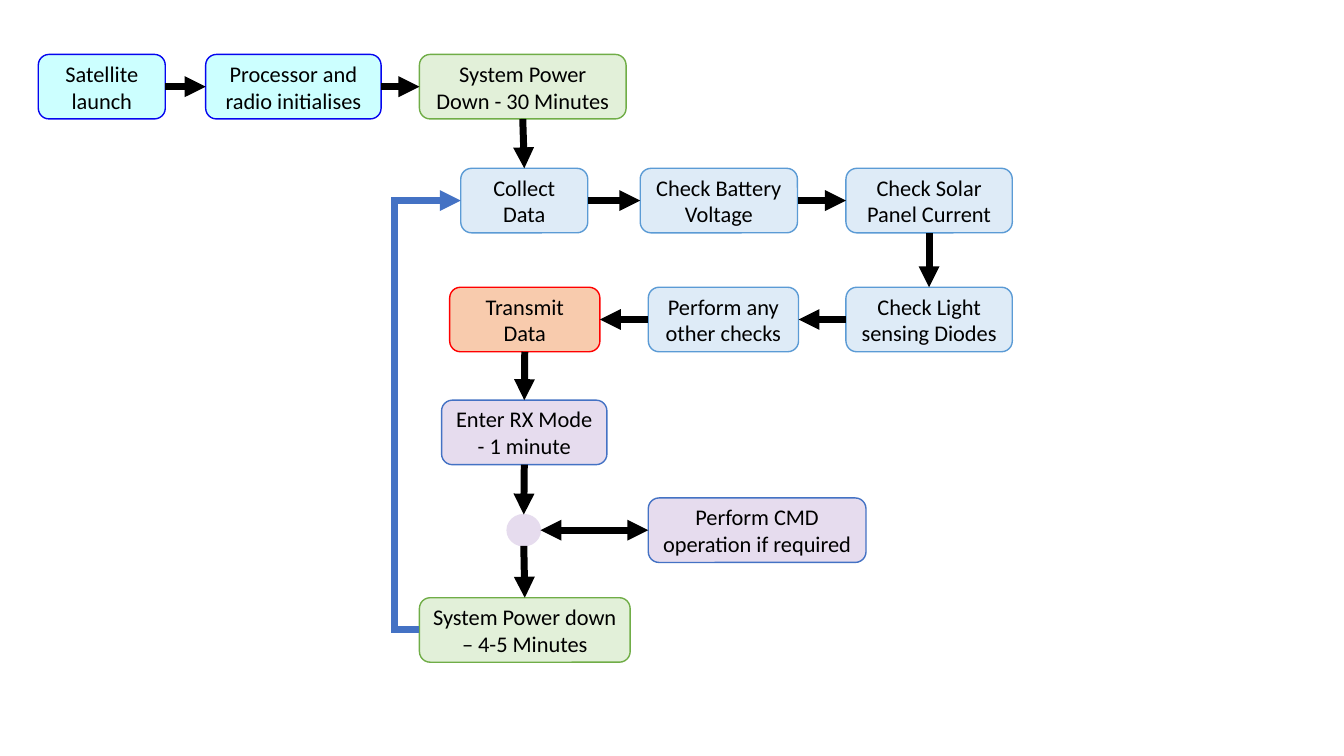
"""Builds a one-slide flowchart of a satellite's operating cycle."""
import pptx
import pptx.dml.color
import pptx.enum.shapes
import pptx.enum.text
import pptx.oxml
import pptx.oxml.ns
import pptx.util

COLOURS = {
    "text": "000000", "arrow": "000000", "loop": "4472C4",
    "start": ("CCFFFF", "0505EF"),
    "sleep": ("E2F0D9", "70AD47"),
    "check": ("DEEBF7", "5B9BD5"),
    "transmit": ("F8CBAD", "FF0000"),
    "receive": ("E6DCEE", "4472C4"),
    "junction": ("E6DCEE", "E6DCEE"),
}
FONT = "Calibri"
SLEEP_LEFT, COMMAND_LEFT, RIGHT_LEFT = 4.16, 6.43, 8.39
ROW_TOPS = [0.54, 1.67, 2.85, 3.97, 4.94, 5.93]
BOX_HEIGHT, JUNCTION_HEIGHT = 0.64, 0.31
LOOP_LEFT = 3.91

# name: text, left, row, width, colours
STEPS = {
    "launch": ("Satellite launch", 0.38, 0, 1.26, "start"),
    "initialise": ("Processor and radio initialises", 2.04, 0, 1.74, "start"),
    "first sleep": ("System Power Down - 30 Minutes", SLEEP_LEFT, 0, 2.05, "sleep"),
    "collect": ("Collect Data", 4.57, 1, 1.26, "check"),
    "battery": ("Check Battery Voltage", 6.35, 1, 1.56, "check"),
    "solar": ("Check Solar Panel Current", RIGHT_LEFT, 1, 1.65, "check"),
    "light": ("Check Light sensing Diodes", RIGHT_LEFT, 2, 1.65, "check"),
    "other": ("Perform any other checks", COMMAND_LEFT, 2, 1.49, "check"),
    "transmit": ("Transmit Data", 4.46, 2, 1.49, "transmit"),
    "receive": ("Enter RX Mode - 1 minute", 4.38, 3, 1.64, "receive"),
    "junction": ("", 5.03, 4, 0.33, "junction"),
    "command": ("Perform CMD operation if required", COMMAND_LEFT, 4, 2.16, "receive"),
    "sleep": ("System Power down – 4-5 Minutes", SLEEP_LEFT, 5, 2.09, "sleep"),
}
ARROWS = [
    ("launch", "right", "initialise", "left"),
    ("initialise", "right", "first sleep", "left"),
    ("first sleep", "bottom", "collect", "top"),
    ("collect", "right", "battery", "left"),
    ("battery", "right", "solar", "left"),
    ("solar", "bottom", "light", "top"),
    ("light", "left", "other", "right"),
    ("other", "left", "transmit", "right"),
    ("transmit", "bottom", "receive", "top"),
    ("receive", "bottom", "junction", "top"),
    ("junction", "bottom", "sleep", "top"),
    ("junction", "right", "command", "left"),
]
SITES = {"top": (0, 0.5, 0), "left": (1, 0, 0.5), "bottom": (2, 0.5, 1), "right": (3, 1, 0.5)}

SHAPES = pptx.enum.shapes.MSO_SHAPE
CONNECTORS = pptx.enum.shapes.MSO_CONNECTOR
inches = pptx.util.Inches


def colour(value):
    return pptx.dml.color.RGBColor.from_string(value)


def add_child(parent, tag, **attributes):
    child = pptx.oxml.parse_xml(f"<a:{tag} {pptx.oxml.ns.nsdecls('a')}/>")
    for name, value in attributes.items():
        child.set(name, value)
    parent.append(child)


def write(box, text, size=16, font=FONT, ink=COLOURS["text"]):
    frame = box.text_frame
    frame.word_wrap = True
    frame.vertical_anchor = pptx.enum.text.MSO_ANCHOR.MIDDLE
    para = frame.paragraphs[0]
    para.alignment = pptx.enum.text.PP_ALIGN.CENTER
    span = para.add_run()
    span.text = text
    span.font.size = pptx.util.Pt(size)
    span.font.name = font
    span.font.color.rgb = colour(ink)


def add_step(page, text, left, row, width, style):
    kind, height = ((SHAPES.ROUNDED_RECTANGLE, BOX_HEIGHT) if text
                    else (SHAPES.OVAL, JUNCTION_HEIGHT))
    top = ROW_TOPS[row] + (BOX_HEIGHT - height) / 2
    box = page.shapes.add_shape(kind, inches(left), inches(top), inches(width), inches(height))
    box.shadow.inherit = False
    fill, outline = COLOURS[style]
    box.fill.solid()
    box.fill.fore_color.rgb = colour(fill)
    box.line.color.rgb = colour(outline)
    box.line.width = pptx.util.Pt(1)
    if text:
        write(box, text)
    return box


def site_point(box, side):
    site, across, down = SITES[side]
    return int(box.left + box.width * across), int(box.top + box.height * down)


def add_arrow(page, start, start_side, end, end_side, kind=CONNECTORS.STRAIGHT,
              ink=COLOURS["arrow"], both_ends=False):
    arrow = page.shapes.add_connector(kind, *site_point(start, start_side),
                                      *site_point(end, end_side))
    if start.auto_shape_type != SHAPES.OVAL:
        arrow.begin_connect(start, SITES[start_side][0])
    if end.auto_shape_type != SHAPES.OVAL:
        arrow.end_connect(end, SITES[end_side][0])
    arrow.line.color.rgb = colour(ink)
    arrow.line.width = pptx.util.Pt(5)
    line = arrow.line._get_or_add_ln()
    add_child(line, "miter", lim="800000")
    if both_ends:
        add_child(line, "headEnd", type="triangle")
    add_child(line, "tailEnd", type="triangle")
    add_child(arrow._element.spPr, "effectLst")
    return arrow


def main():
    deck = pptx.Presentation()
    deck.slide_width, deck.slide_height = inches(13.33), inches(7.5)
    page = deck.slides.add_slide(deck.slide_layouts[6])
    boxes = {name: add_step(page, *step) for name, step in STEPS.items()}
    for start, start_side, end, end_side in ARROWS:
        add_arrow(page, boxes[start], start_side, boxes[end], end_side,
                  both_ends=end == "command")

    loop = add_arrow(page, boxes["sleep"], "left", boxes["collect"], "left",
                     kind=CONNECTORS.ELBOW, ink=COLOURS["loop"])
    bend = (inches(LOOP_LEFT) - boxes["sleep"].left) / loop.width
    geometry = loop._element.spPr.find(pptx.oxml.ns.qn("a:prstGeom"))
    add_child(geometry.get_or_add_avLst(), "gd", name="adj1", fmla=f"val {round(bend * 100000)}")
    deck.save("out.pptx")


if __name__ == "__main__":
    main()
